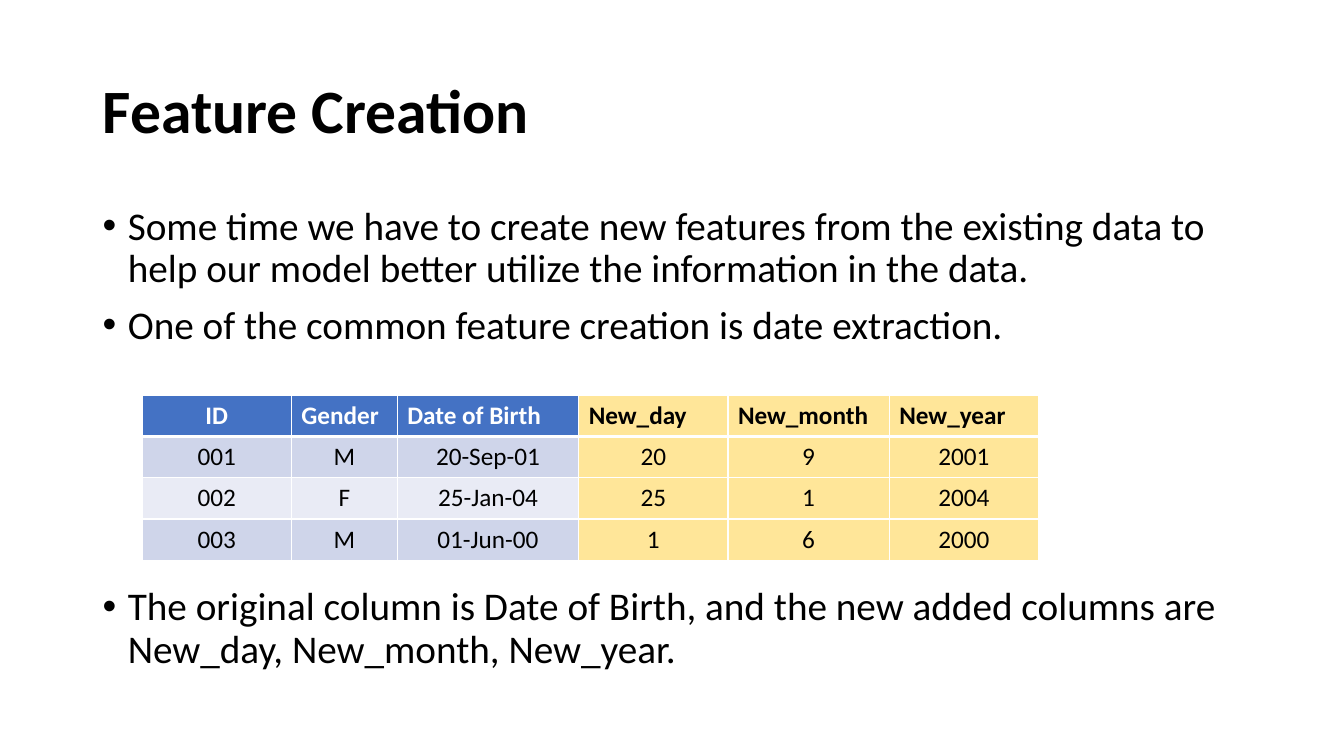
from lxml import etree
from pptx import Presentation
from pptx.dml.color import RGBColor
from pptx.enum.text import MSO_ANCHOR, PP_ALIGN
from pptx.oxml.ns import qn
from pptx.util import Inches, Pt

LEFT, CENTER = PP_ALIGN.LEFT, PP_ALIGN.CENTER
MIDDLE, TOP = MSO_ANCHOR.MIDDLE, MSO_ANCHOR.TOP

# Content
TITLE = "Feature Creation"
BULLETS = [  # text, space before in points (the last one clears the table)
    ("Some time we have to create new features from the existing data to "
     "help our model better utilize the information in the data.", 0),
    ("One of the common feature creation is date extraction.", 10),
    ("The original column is Date of Birth, and the new added columns are "
     "New_day, New_month, New_year.", 171),
]
RECORDS = [
    ("ID", "Gender", "Date of Birth", "New_day", "New_month", "New_year"),
    ("001", "M", "20-Sep-01", "20", "9", "2001"),
    ("002", "F", "25-Jan-04", "25", "1", "2004"),
    ("003", "M", "01-Jun-00", "1", "6", "2000"),
]
FIRST_NEW_COLUMN = 3

# Layout and style
SLIDE_W, SLIDE_H = 13.33, 7.5
MARGIN, CONTENT_W = 0.92, 11.5
COLUMN_WIDTHS = [1.48, 1.05, 1.8, 1.48, 1.6, 1.48]
ROW_H = 0.41
FONT = "Calibri"
COLORS = {
    "text": "000000", "white": "FFFFFF", "header": "4472C4",
    "odd": "CFD5EA", "even": "E9EBF5", "new": "FFE699",
}


def add_text(paragraph, text, size, color="text", bold=False, align=LEFT):
    paragraph.alignment = align
    run = paragraph.add_run()
    run.text = text
    run.font.name, run.font.size, run.font.bold = FONT, Pt(size), bold
    run.font.color.rgb = RGBColor.from_string(COLORS[color])


def add_bullet(paragraph):
    props = paragraph._p.get_or_add_pPr()
    props.set("marL", str(Inches(0.25)))
    props.set("indent", str(-Inches(0.25)))
    etree.SubElement(props, qn("a:buFont"), typeface="Arial")
    etree.SubElement(props, qn("a:buChar"), char="•")


def add_borders(cell, widths):
    props = cell._tc.get_or_add_tcPr()
    for side, width in zip("LRTB", widths):
        line = etree.SubElement(props, qn(f"a:ln{side}"), w=str(Pt(width)))
        fill = etree.SubElement(line, qn("a:solidFill"))
        etree.SubElement(fill, qn("a:srgbClr"), val=COLORS["white"])


def cell_fill(row, column):
    if column >= FIRST_NEW_COLUMN:
        return "new"
    if row == 0:
        return "header"
    return "odd" if row % 2 else "even"


def main():
    prs = Presentation()
    prs.slide_width, prs.slide_height = Inches(SLIDE_W), Inches(SLIDE_H)
    slide = prs.slides.add_slide(prs.slide_layouts[5])

    # Title
    title = slide.shapes.title
    title.left, title.top = Inches(MARGIN), Inches(0.4)
    title.width, title.height = Inches(CONTENT_W), Inches(1.45)
    title.text_frame.vertical_anchor = MIDDLE
    heading = title.text_frame.paragraphs[0]
    heading.line_spacing = 0.9
    add_text(heading, TITLE, 44, bold=True)

    # Bullets above and below the table
    body = slide.shapes.add_textbox(
        Inches(MARGIN), Inches(2), Inches(CONTENT_W), Inches(4.76)).text_frame
    body.word_wrap = True
    body.vertical_anchor = TOP
    for i, (text, space) in enumerate(BULLETS):
        paragraph = body.add_paragraph() if i else body.paragraphs[0]
        add_bullet(paragraph)
        paragraph.line_spacing = 0.9
        if space:
            paragraph.space_before = Pt(space)
        add_text(paragraph, text, 28)

    # Table of records with the extracted date columns
    records = slide.shapes.add_table(
        len(RECORDS), len(COLUMN_WIDTHS), Inches(1.41), Inches(3.92),
        Inches(sum(COLUMN_WIDTHS)), Inches(ROW_H * len(RECORDS))).table
    for column, width in zip(records.columns, COLUMN_WIDTHS):
        column.width = Inches(width)
    for r, record in enumerate(RECORDS):
        records.rows[r].height = Inches(ROW_H)
        for c, value in enumerate(record):
            cell = records.cell(r, c)
            fill = cell_fill(r, c)
            add_borders(cell, (1, 1, 3 if r == 1 else 1, 3 if r == 0 else 1))
            cell.fill.solid()
            cell.fill.fore_color.rgb = RGBColor.from_string(COLORS[fill])
            add_text(cell.text_frame.paragraphs[0], value, 18,
                     color="white" if fill == "header" else "text",
                     bold=r == 0, align=CENTER if r or c == 0 else LEFT)

    prs.save("out.pptx")


if __name__ == "__main__":
    main()
